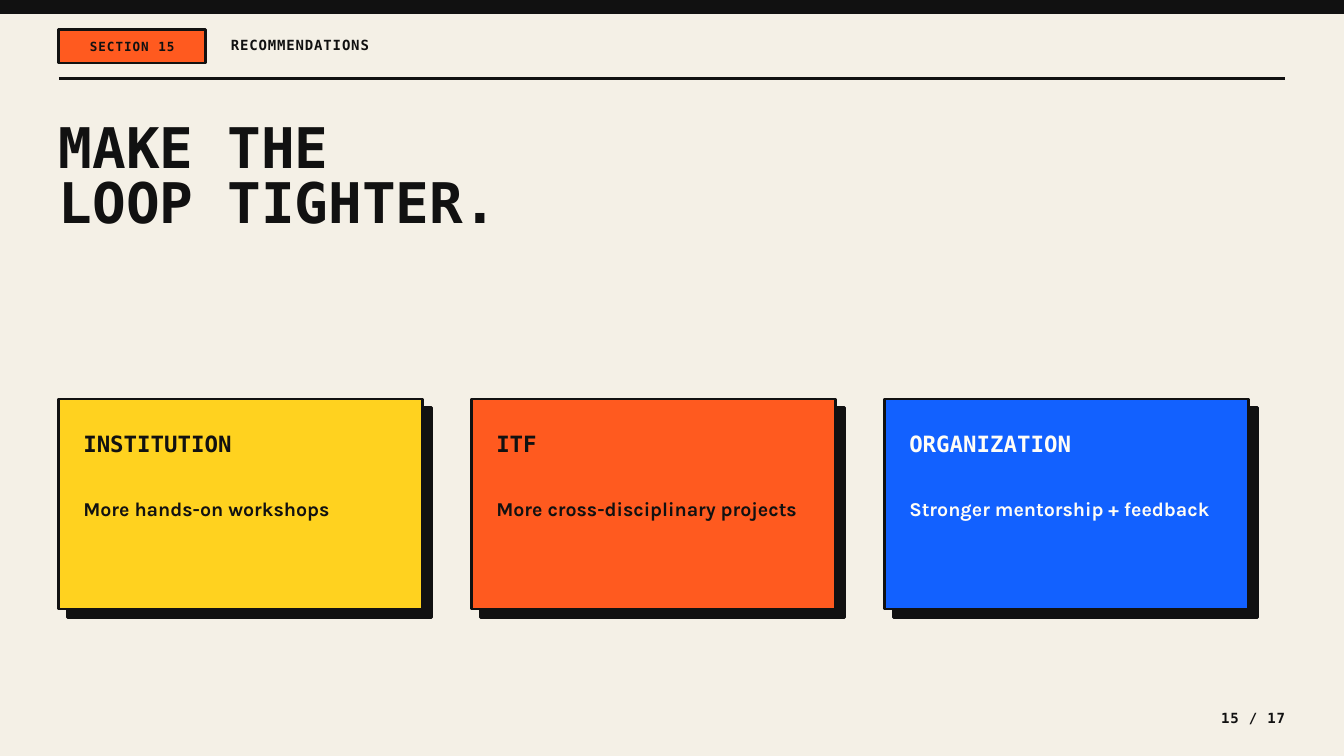
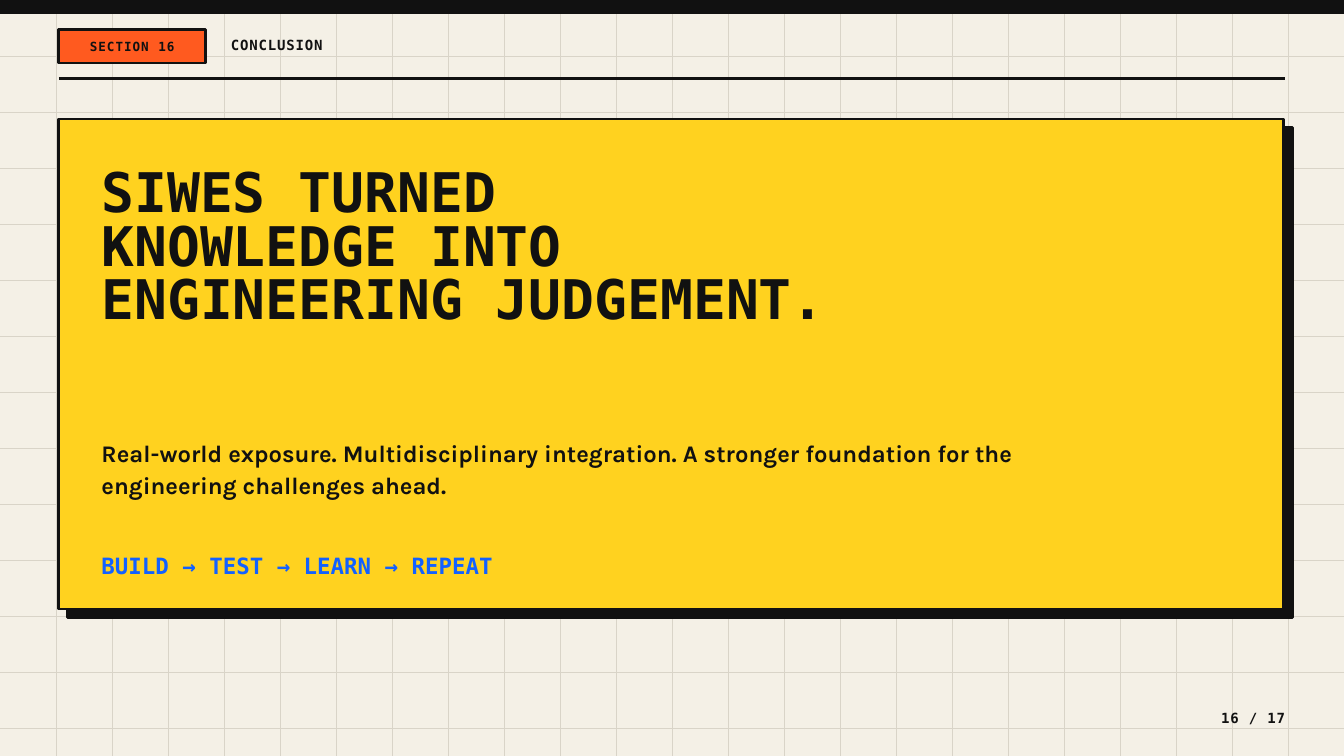
from lxml import etree
from pptx import Presentation
from pptx.dml.color import RGBColor
from pptx.enum.shapes import MSO_CONNECTOR, MSO_SHAPE
from pptx.enum.text import MSO_ANCHOR, MSO_AUTO_SIZE, PP_ALIGN
from pptx.oxml.ns import qn
from pptx.util import Emu, Pt

RECT = MSO_SHAPE.RECTANGLE
LINE = MSO_CONNECTOR.STRAIGHT
LEFT, CENTER, RIGHT = PP_ALIGN.LEFT, PP_ALIGN.CENTER, PP_ALIGN.RIGHT
TOP, MIDDLE = MSO_ANCHOR.TOP, MSO_ANCHOR.MIDDLE
GROW, FIXED = MSO_AUTO_SIZE.SHAPE_TO_FIT_TEXT, MSO_AUTO_SIZE.NONE

WIDTH, HEIGHT = 1920, 1080
MARGIN = 84
EDGE = WIDTH - MARGIN
SHADE = 12
GRID = 80
PAGES = 17

INK, PAPER, WHITE = "111111", "F4F0E6", "FFFDF7"
YELLOW, ORANGE, BLUE, GRAY = "FFD21F", "FF5A1F", "1261FF", "D9D4C8"
MONO, SANS = "DejaVu Sans Mono", "Karla"

CARDS = [
    ("INSTITUTION", "More hands-on workshops", YELLOW, INK),
    ("ITF", "More cross-disciplinary projects", ORANGE, INK),
    ("ORGANIZATION", "Stronger mentorship + feedback", BLUE, WHITE),
]


def px(count):
    return Emu(count * 9525)


def paint(target, color):
    target.rgb = RGBColor.from_string(color)


class Deck:
    def __init__(self):
        self.show = Presentation()
        self.show.slide_width = px(WIDTH)
        self.show.slide_height = px(HEIGHT)
        fill = self.show.slide_master.background.fill
        fill.solid()
        paint(fill.fore_color, PAPER)
        self.slide = None

    def page(self, number, topic, grid=False):
        layout = self.show.slide_layouts.get_by_name("Title Only")
        self.slide = self.show.slides.add_slide(layout)
        if grid:
            self.grid()
        self.rect(0, 0, WIDTH, 18, INK)
        self.rect(MARGIN, 42, 210, 48, ORANGE)
        self.text(MARGIN, 40, 210, 50, [f"SECTION {number}"], 13.5, 18.9,
                  align=CENTER, anchor=MIDDLE, inset=6, track=1.1, fit=FIXED)
        self.line(MARGIN, 112, EDGE, 112, INK, 3)
        self.text(330, 48, 1200, 28, [topic], 15, 21, track=0.9)
        self.text(EDGE - 150, 1010, 150, 28, [f"{number} / {PAGES}"], 15, 21,
                  align=RIGHT, track=0.9)

    def grid(self):
        for x in range(GRID, WIDTH, GRID):
            self.line(x, 0, x, HEIGHT, GRAY, 0.75)
        for y in range(GRID, HEIGHT, GRID):
            self.line(0, y, WIDTH, y, GRAY, 0.75)

    def line(self, x1, y1, x2, y2, color, weight):
        rule = self.slide.shapes.add_connector(
            LINE, px(x1), px(y1), px(x2), px(y2))
        paint(rule.line.color, color)
        rule.line.width = Pt(weight)
        etree.SubElement(rule.element.spPr, qn("a:effectLst"))

    def rect(self, x, y, w, h, color):
        box = self.slide.shapes.add_shape(RECT, px(x), px(y), px(w), px(h))
        box.shadow.inherit = False
        box.fill.solid()
        paint(box.fill.fore_color, color)
        paint(box.line.color, INK)
        box.line.width = Pt(3)

    def card(self, x, y, w, h, color):
        self.rect(x + SHADE, y + SHADE, w, h, INK)
        self.rect(x, y, w, h, color)

    def title(self, x, y, w, h, lines, size, lead):
        box = self.slide.shapes.title
        self.slide.shapes.element.append(box.element)
        box.left, box.top, box.width, box.height = px(x), px(y), px(w), px(h)
        self.words(box.text_frame, lines, size, lead)

    def text(self, x, y, w, h, lines, size, lead, **style):
        box = self.slide.shapes.add_textbox(px(x), px(y), px(w), px(h))
        self.words(box.text_frame, lines, size, lead, **style)

    def words(self, frame, lines, size, lead, font=MONO, color=INK,
              align=LEFT, anchor=TOP, inset=0, track=0, fit=GROW):
        frame.word_wrap = True
        frame.auto_size = fit
        frame.vertical_anchor = anchor
        frame.margin_left = frame.margin_right = px(inset)
        frame.margin_top = frame.margin_bottom = px(inset)
        for i, line in enumerate(lines):
            para = frame.add_paragraph() if i else frame.paragraphs[0]
            para.alignment = align
            para.line_spacing = Pt(lead)
            run = para.add_run()
            run.text = line
            run.font.name = font
            run.font.size = Pt(size)
            run.font.bold = True
            paint(run.font.color, color)
            if track:
                run.font._element.set("spc", str(round(track * 100)))

    def save(self):
        self.show.save("out.pptx")


def advice(deck):
    deck.page(15, "RECOMMENDATIONS")
    deck.title(MARGIN, 179, 780, 159, ["MAKE THE", "LOOP TIGHTER."], 60, 58.8)
    for i, (head, note, fill, ink) in enumerate(CARDS):
        x = MARGIN + i * 590
        deck.card(x, 570, 520, 300, fill)
        deck.text(x + 35, 617, 450, 36, [head], 24, 26.4, color=ink)
        deck.text(x + 35, 706, 450, 36, [note], 21, 28.4,
                  font=SANS, color=ink)


def closing(deck):
    deck.page(16, "CONCLUSION", grid=True)
    deck.card(MARGIN, 170, 1750, 700, YELLOW)
    left = MARGIN + 61
    deck.title(left, 243, 1600, 232,
               ["SIWES TURNED", "KNOWLEDGE INTO", "ENGINEERING JUDGEMENT."],
               58.5, 57.3)
    deck.text(left, 621, 1450, 89,
              ["Real-world exposure. Multidisciplinary integration. "
               "A stronger foundation for the engineering challenges ahead."],
              25.5, 34.4, font=SANS)
    deck.text(left, 792, 1050, 36, ["BUILD → TEST → LEARN → REPEAT"],
              24, 26.4, color=BLUE)


def main():
    deck = Deck()
    advice(deck)
    closing(deck)
    deck.save()


if __name__ == "__main__":
    main()
